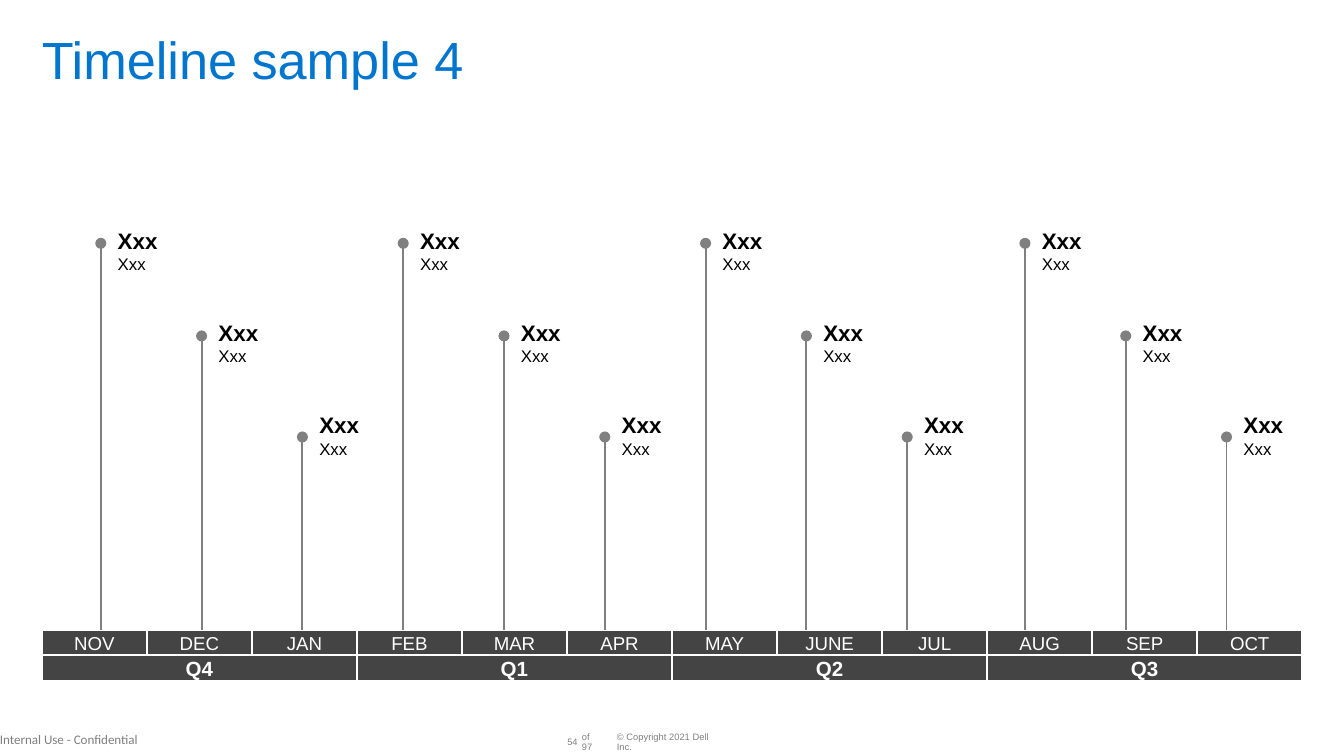
from typing import NamedTuple

from lxml.etree import SubElement
from pptx import Presentation
from pptx.dml.color import RGBColor
from pptx.enum.shapes import MSO_CONNECTOR, MSO_SHAPE
from pptx.enum.text import MSO_ANCHOR as ANCHOR, MSO_AUTO_SIZE as FIT, PP_ALIGN as ALIGN
from pptx.oxml.ns import qn
from pptx.util import Cm, Pt

BLUE, DARK, GRAY, BLACK, WHITE = "0076CE", "444444", "808080", "000000", "FFFFFF"
LEFT, WIDTH = 0.79, 23.82
BAR_TOP, BAR_H = 11.91, 0.48
STEM_STEP, LABEL_GAP = 1.905, 0.32


class Style(NamedTuple):
    size: float
    color: str
    bold: bool = False
    name: str = "Arial"


class Milestone(NamedTuple):
    x: float
    dot_y: float
    label_y: float
    width: float = 3.33


class Footer(NamedTuple):
    text: str
    box: tuple
    style: Style
    align: ALIGN = ALIGN.LEFT


HEADING, DETAIL = Style(12, BLACK, True), Style(9, BLACK)
MONTH, QUARTER = Style(10, WHITE), Style(11, WHITE, True)
SMALL = Style(5, GRAY)

MONTHS = "NOV DEC JAN FEB MAR APR MAY JUNE JUL AUG SEP OCT".split()
QUARTERS = ["Q4", "Q1", "Q2", "Q3"]
QUARTER_STEMS = [1.905, 7.62, 13.335, 19.37]
LEVELS = [(4.6, 4.29), (6.35, 6.03), (8.26, 7.78)]
FOOTERS = [
    Footer("© Copyright 2021 Dell Inc.", (11.66, 13.94, 2.06, 0.2), SMALL),
    Footer("54", (10.72, 13.94, 0.2, 0.2), SMALL, ALIGN.RIGHT),
    Footer("of 97", (11, 13.94, 0.38, 0.2), SMALL),
    Footer("Internal Use - Confidential", (0, 13.69, 3.3, 0.58),
           Style(7, "7F7F7F", name="Calibri")),
]


def rgb(color: str) -> RGBColor:
    return RGBColor.from_string(color)


def format_frame(tf, anchor: ANCHOR = ANCHOR.TOP, fit: FIT = FIT.NONE) -> None:
    settings = {"margin_left": 0, "margin_top": 0, "margin_right": 0, "margin_bottom": 0,
                "word_wrap": True, "auto_size": fit, "vertical_anchor": anchor}
    for key, value in settings.items():
        setattr(tf, key, value)


def write(p, text: str, style: Style, align: ALIGN = ALIGN.LEFT) -> None:
    p.alignment = align
    r = p.add_run()
    r.text = text
    for key, value in {"size": Pt(style.size), "bold": style.bold, "name": style.name}.items():
        setattr(r.font, key, value)
    r.font.color.rgb = rgb(style.color)


def add_title(s, text: str) -> None:
    sp = s.shapes.title
    for key, value in {"left": LEFT, "top": 0.64, "width": WIDTH, "height": 1.07}.items():
        setattr(sp, key, Cm(value))
    format_frame(sp.text_frame, fit=FIT.SHAPE_TO_FIT_TEXT)
    p = sp.text_frame.paragraphs[0]
    write(p, text, Style(28, BLUE))
    p.line_spacing = 0.9


def add_bar_row(s, names: list[str], top: float, style: Style) -> None:
    cell_w = WIDTH / len(names)
    for i, name in enumerate(names):
        sp = s.shapes.add_shape(MSO_SHAPE.RECTANGLE, Cm(LEFT + i * cell_w), Cm(top),
                                Cm(cell_w), Cm(BAR_H))
        sp.shadow.inherit = False
        sp.fill.solid()
        sp.fill.fore_color.rgb = rgb(DARK)
        sp.line.color.rgb = rgb(WHITE)
        sp.line.width = Pt(1)
        format_frame(sp.text_frame, ANCHOR.MIDDLE)
        write(sp.text_frame.paragraphs[0], name, style, ALIGN.CENTER)


def add_milestone(s, m: Milestone) -> None:
    # Stem with a round end
    stem = s.shapes.add_connector(MSO_CONNECTOR.STRAIGHT, Cm(m.x), Cm(BAR_TOP),
                                  Cm(m.x), Cm(m.dot_y))
    stem.line.color.rgb = rgb(GRAY)
    stem.line.width = Pt(1)
    SubElement(stem.line._get_or_add_ln(), qn("a:tailEnd"), type="oval")
    SubElement(stem._element.spPr, qn("a:effectLst"))

    # Heading and detail
    tf = s.shapes.add_textbox(Cm(m.x + LABEL_GAP), Cm(m.label_y),
                              Cm(m.width), Cm(0.89)).text_frame
    format_frame(tf, fit=FIT.SHAPE_TO_FIT_TEXT)
    write(tf.paragraphs[0], "Xxx", HEADING)
    write(tf.add_paragraph(), "Xxx", DETAIL)


def add_footer(s, footer: Footer) -> None:
    tf = s.shapes.add_textbox(*map(Cm, footer.box)).text_frame
    format_frame(tf, ANCHOR.MIDDLE)
    p = tf.paragraphs[0]
    write(p, footer.text, footer.style, footer.align)
    if footer.style == SMALL:
        p.line_spacing = 0.9


def main() -> None:
    prs = Presentation()
    prs.slide_width, prs.slide_height = Cm(25.4), Cm(14.29)
    s = prs.slides.add_slide(prs.slide_layouts[5])

    # Footer and title
    for footer in FOOTERS:
        add_footer(s, footer)
    add_title(s, "Timeline sample 4")

    # Calendar bars
    add_bar_row(s, QUARTERS, BAR_TOP + BAR_H, QUARTER)
    add_bar_row(s, MONTHS, BAR_TOP, MONTH)

    # Milestones step down through each quarter
    milestones = [Milestone(x + i * STEM_STEP, *level)
                  for x in QUARTER_STEMS for i, level in enumerate(LEVELS)]
    milestones[-1] = milestones[-1]._replace(width=1.59)
    for m in milestones:
        add_milestone(s, m)

    prs.save("out.pptx")


if __name__ == "__main__":
    main()
